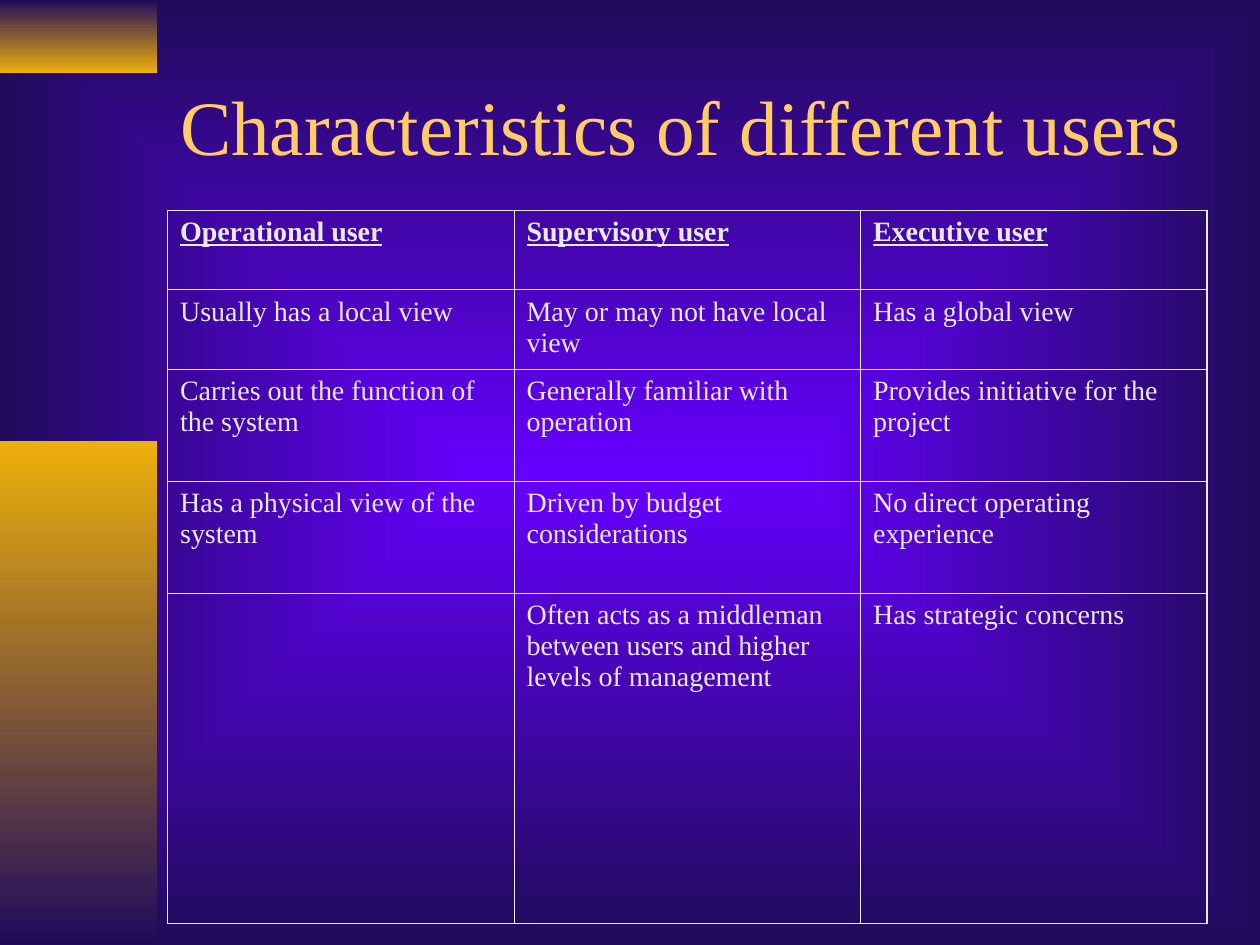
import pptx
import pptx.dml.color
import pptx.enum.shapes
import pptx.enum.text
import pptx.oxml
import pptx.oxml.ns
import pptx.util
from dataclasses import dataclass
from typing import Any

Inches = pptx.util.Inches
Pt = pptx.util.Pt

HUES = {"night": "200B5B", "violet": "6600FF", "gold": "EEB00B",
        "title": "FFCC66", "pale": "EAEAEA"}
FACE = "Times New Roman"
THICK, THIN = 1.08, 0.45
WIDTHS = [2.75] * 3
HEIGHTS = [0.63, 0.63, 0.89, 0.89, 2.62]
ROWS = [
    ["Operational user", "Supervisory user", "Executive user"],
    ["Usually has a local view", "May or may not have local view", "Has a global view"],
    ["Carries out the function of the system", "Generally familiar with operation",
     "Provides initiative for the project"],
    ["Has a physical view of the system", "Driven by budget considerations",
     "No direct operating experience"],
    ["", "Often acts as a middleman between users and higher levels of management",
     "Has strategic concerns"],
]
BODY = {"name": FACE, "size": Pt(16), "bold": False, "underline": False}
HEAD = BODY | {"bold": True, "underline": True}


@dataclass
class Band:
    top: float
    height: float
    start: str
    end: str


BANDS = [Band(0, 0.58, "night", "gold"), Band(3.5, 4, "gold", "night")]


def tint(name: str) -> Any:
    return pptx.dml.color.RGBColor.from_string(HUES[name])


def apply(item: Any, values: dict) -> None:
    for key, value in values.items():
        setattr(item, key, value)


def style(part: Any, hue: str, values: dict) -> None:
    apply(part.font, values)
    part.font.color.rgb = tint(hue)


def blend(fill: Any, start: str, end: str) -> None:
    fill.gradient()
    fill.gradient_angle = 270
    for stop, hue in zip(fill.gradient_stops, (start, end)):
        stop.color.rgb = tint(hue)


def paint_back(slide: Any) -> None:
    blend(slide.background.fill, "violet", "night")
    line = slide.element.find(".//" + pptx.oxml.ns.qn("a:lin"))
    focus = pptx.oxml.parse_xml(
        f'<a:path {pptx.oxml.ns.nsdecls("a")} path="rect">'
        '<a:fillToRect l="50000" t="50000" r="50000" b="50000"/></a:path>')
    line.getparent().replace(line, focus)


def draw_band(slide: Any, band: Band) -> None:
    shape = slide.shapes.add_shape(
        pptx.enum.shapes.MSO_SHAPE.RECTANGLE,
        Inches(0), Inches(band.top), Inches(1.25), Inches(band.height))
    shape.shadow.inherit = False
    shape.line.fill.background()
    blend(shape.fill, band.start, band.end)


def draw_title(slide: Any) -> None:
    title = slide.shapes.title
    apply(title, {"left": Inches(1.33), "top": Inches(0.33),
                  "width": Inches(8.5), "height": Inches(1.32)})
    frame = title.text_frame
    frame.text = "Characteristics of different users"
    apply(frame, {"word_wrap": True,
                  "auto_size": pptx.enum.text.MSO_AUTO_SIZE.NONE,
                  "vertical_anchor": pptx.enum.text.MSO_ANCHOR.MIDDLE})
    para = frame.paragraphs[0]
    para.alignment = pptx.enum.text.PP_ALIGN.LEFT
    style(para.runs[0], "title", {"name": FACE, "size": Pt(44)})


def edge_cell(cell: Any, row: int, col: int) -> None:
    outer = {"L": col == 0, "R": col == len(WIDTHS) - 1,
             "T": row == 0, "B": row == len(HEIGHTS) - 1}
    props = cell._tc.get_or_add_tcPr()
    for side, thick in outer.items():
        width = Pt(THICK if thick else THIN)
        props.append(pptx.oxml.parse_xml(
            f'<a:ln{side} {pptx.oxml.ns.nsdecls("a")} w="{width}">'
            f'<a:solidFill><a:srgbClr val="{HUES["pale"]}"/></a:solidFill></a:ln{side}>'))


def fill_cell(cell: Any, text: str, row: int, col: int) -> None:
    edge_cell(cell, row, col)
    cell.fill.background()
    para = cell.text_frame.paragraphs[0]
    if text:
        run = para.add_run()
        run.text = text
        style(run, "pale", HEAD if row == 0 else BODY)


def draw_table(slide: Any) -> None:
    table = slide.shapes.add_table(
        len(HEIGHTS), len(WIDTHS), Inches(1.33), Inches(1.67),
        Inches(sum(WIDTHS)), Inches(sum(HEIGHTS))).table
    apply(table, {"first_row": False, "horz_banding": False})
    for col, width in zip(table.columns, WIDTHS):
        col.width = Inches(width)
    for row, height in zip(table.rows, HEIGHTS):
        row.height = Inches(height)
    for row, texts in enumerate(ROWS):
        for col, text in enumerate(texts):
            fill_cell(table.cell(row, col), text, row, col)


def main() -> None:
    deck = pptx.Presentation()
    apply(deck, {"slide_width": Inches(10), "slide_height": Inches(7.5)})
    slide = deck.slides.add_slide(deck.slide_layouts[5])
    paint_back(slide)
    for band in BANDS:
        draw_band(slide, band)
    draw_title(slide)
    draw_table(slide)
    deck.save("out.pptx")


if __name__ == "__main__":
    main()
